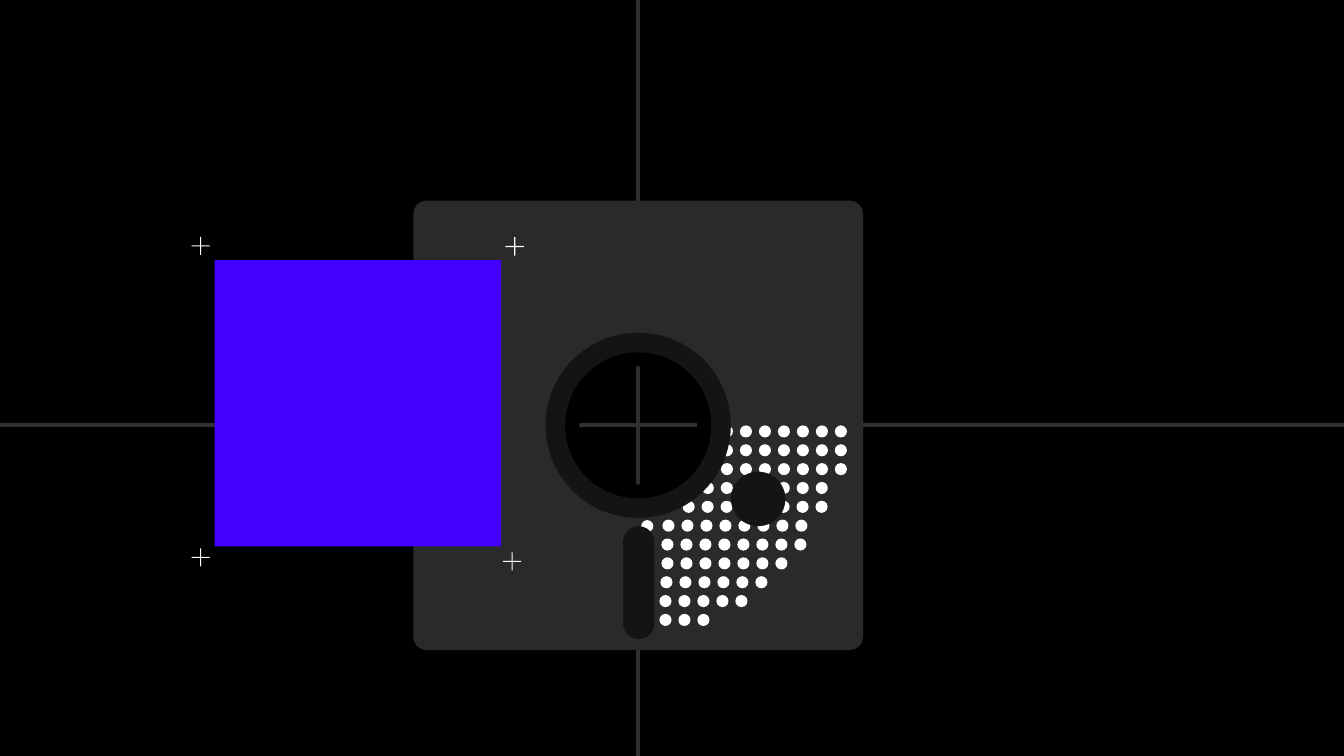
from dataclasses import dataclass

from lxml import etree
from pptx import Presentation
from pptx.dml.color import RGBColor
from pptx.enum.shapes import MSO_CONNECTOR, MSO_SHAPE
from pptx.oxml.ns import qn
from pptx.util import Inches, Pt

OVAL = MSO_SHAPE.OVAL
PILL = MSO_SHAPE.ROUNDED_RECTANGLE
RECT = MSO_SHAPE.RECTANGLE
PLUS = MSO_SHAPE.MATH_PLUS
LINE = MSO_CONNECTOR.STRAIGHT


@dataclass(frozen=True)
class Theme:
    black: str = "000000"
    axis: str = "303030"
    plate: str = "2A2A2A"
    dark: str = "141414"
    white: str = "FFFFFF"
    blue: str = "4201FF"
    axis_pt: int = 3
    rim_pt: int = 20
    hub_pt: int = 10


THEME = Theme()
WIDE, HIGH = 13.33, 7.5
DOT_ROWS = (
    (3.05, 7), (3.05, 7), (3.05, 7), (2.86, 7), (2.67, 8), (2.47, 8),
    (2.46, 8), (2.46, 7), (2.45, 6), (2.44, 5), (2.44, 3),
)
DOT_TOP, DOT_STEP, DOT_SIZE = 2.23, 1.13 / 6, 0.12
ROW_STEP = 1.87 / 10
BEND = 0.55
TURNS = ((1, 0), (0, 1), (-1, 0), (0, -1))


def paint(shape, color):
    shape.shadow.inherit = False
    shape.fill.solid()
    shape.fill.fore_color.rgb = RGBColor.from_string(color)
    shape.line.fill.background()


def add_part(group, kind, x, y, w, h, color):
    part = group.shapes.add_shape(kind, Inches(x), Inches(y), Inches(w), Inches(h))
    paint(part, color)
    return part


def add_ring(group, x, y, size, color, width):
    ring = add_part(group, OVAL, x, y, size, size, color)
    ring.fill.background()
    ring.line.color.rgb = RGBColor.from_string(color)
    ring.line.width = Pt(width)


def add_axis(group, x1, y1, x2, y2):
    axis = group.shapes.add_connector(LINE, Inches(x1), Inches(y1), Inches(x2), Inches(y2))
    axis.line.color.rgb = RGBColor.from_string(THEME.axis)
    axis.line.width = Pt(THEME.axis_pt)
    etree.SubElement(axis._element.spPr, qn("a:effectLst"))


def arc(x, y, r, start, end):
    (ax, ay), (bx, by) = start, end
    points = ((ax, ay), (ax + BEND * bx, ay + BEND * by),
              (bx + BEND * ax, by + BEND * ay), (bx, by))
    return [(Inches(x + r * px), Inches(y + r * py)) for px, py in points]


def curve(shape, kinds):
    steps = iter(list(shape._element.iter(qn("a:lnTo"))))
    for kind in kinds:
        first = next(steps)
        if kind == "C":
            first.tag = qn("a:cubicBezTo")
            for _ in range(2):
                step = next(steps)
                first.append(step[0])
                step.getparent().remove(step)


def add_plate(group, x, y, size):
    mid, hole, round_by = size / 2, 0.78, 0.13
    far = size - round_by
    corners = ((far, far), (round_by, far), (round_by, round_by), (far, round_by))
    edge, inner = [], []
    for i, (dx, dy) in enumerate(corners):
        start, end = TURNS[i], TURNS[(i + 1) % 4]
        edge += arc(x + dx, y + dy, round_by, start, end)
        inner = arc(x + mid, y + mid, hole, end, start)[:3] + inner
    inner.append(inner[0])
    outline = group.shapes.build_freeform(*edge[0], scale=1.0)
    outline.add_line_segments(edge[1:], close=True)
    outline.move_to(*inner[0])
    outline.add_line_segments(inner[1:], close=True)
    plate = outline.convert_to_shape()
    curve(plate, "CLCLCLC" + "CCCC")
    paint(plate, THEME.plate)


def add_dots(group, x, y):
    for row, (left, count) in enumerate(DOT_ROWS):
        for col in range(count):
            add_part(group, OVAL, x + left + col * DOT_STEP, y + DOT_TOP + row * ROW_STEP,
                     DOT_SIZE, DOT_SIZE, THEME.white)
    add_part(group, OVAL, x + 2.26, y + 3.17, DOT_SIZE, DOT_SIZE, THEME.white)


def add_disk(slide, x, y, size):
    group = slide.shapes.add_group_shape()
    mid_x, mid_y = x + size / 2, y + size / 2
    add_axis(group, -7.7, mid_y, 18.68, mid_y)
    add_axis(group, mid_x, 12.84, mid_x, -4.33)
    add_plate(group, x, y, size)
    add_dots(group, x, y)
    for ring, color, width in ((1.56, THEME.dark, THEME.rim_pt),
                               (1.31, THEME.black, THEME.hub_pt)):
        add_ring(group, mid_x - ring / 2, mid_y - ring / 2, ring, color, width)
    add_part(group, OVAL, x + 3.15, y + 2.69, 0.54, 0.54, THEME.dark)
    slot = add_part(group, PILL, x + 2.08, y + 3.23, 0.31, 1.12, THEME.dark)
    slot.adjustments[0] = 0.5


def add_label(slide, x, y, size):
    group = slide.shapes.add_group_shape()
    add_part(group, RECT, x, y, size, size, THEME.blue)
    marks = ((2.85, -0.26, 0.25), (-0.26, -0.26, 0.24),
             (-0.26, 2.83, 0.24), (2.83, 2.87, 0.24))
    for dx, dy, span in marks:
        mark = add_part(group, PLUS, x + dx, y + dy, span, span, THEME.white)
        mark.adjustments[0] = 0.048


def main():
    deck = Presentation()
    deck.slide_width, deck.slide_height = Inches(WIDE), Inches(HIGH)
    slide = deck.slides.add_slide(deck.slide_layouts[6])
    back = slide.background.fill
    back.solid()
    back.fore_color.rgb = RGBColor.from_string(THEME.black)
    add_disk(slide, 4.1, 1.99, 4.46)
    add_label(slide, 2.13, 2.58, 2.84)
    deck.save("out.pptx")


if __name__ == "__main__":
    main()
